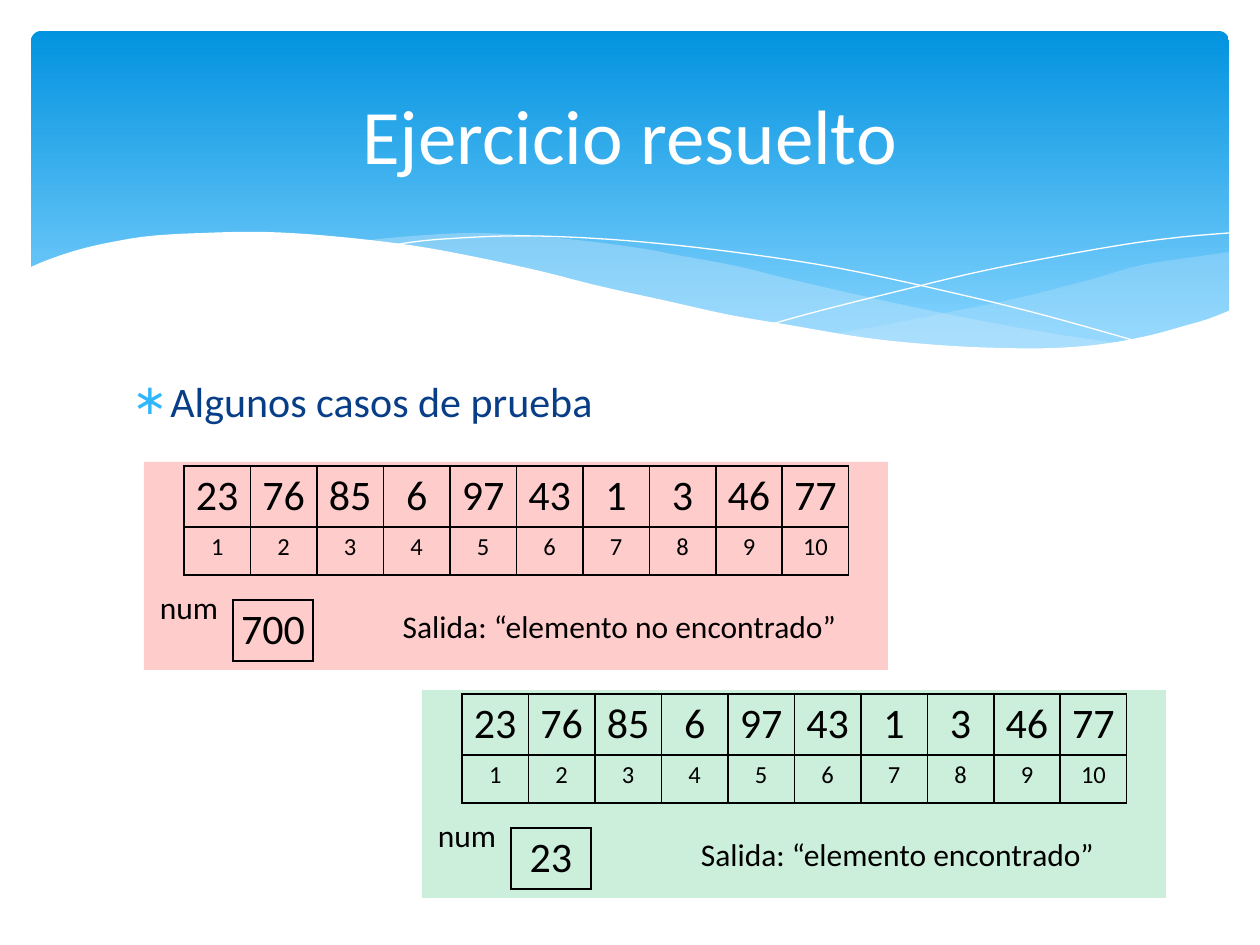
from lxml import etree
from pptx import Presentation, util as u
from pptx.dml.color import RGBColor
from pptx.enum import shapes, text
from pptx.oxml import ns

SCALE = u.Inches(1) / 126
FONT = "Calibri"
COLORS = {
    "sky": "0293E0", "light": "83D3FE", "mist": "C6E7FC", "white": "FFFFFF",
    "navy": "073E87", "bullet": "31B6FD", "black": "000000",
    "fail": "FF0000", "success": "00B050",
}
VALUES = [23, 76, 85, 6, 97, 43, 1, 3, 46, 77]

RIGHT_TOP = [(1229, 252), (1194, 257), (1142, 265), (1085, 281), (1014, 299),
             (949, 312), (890, 324), (833, 334)]
RIGHT_BOTTOM = [(833, 334), (888, 342), (939, 346), (998, 349), (1052, 349),
                (1099, 346), (1140, 339), (1178, 330), (1213, 318), (1229, 311)]
MIDDLE_TOP = [(1125, 344), (1055, 334), (977, 320), (890, 302), (793, 280),
              (736, 266), (682, 256), (632, 247), (557, 238), (479, 233),
              (413, 236), (360, 241)]
MIDDLE_BOTTOM = [(360, 241), (431, 251), (509, 266), (566, 280), (668, 302),
                 (757, 321), (839, 335), (911, 343), (974, 348), (1031, 350),
                 (1080, 349), (1125, 344)]
FALLING_LINE = [(389, 246), (413, 242), (444, 239), (505, 236), (567, 237),
                (643, 242), (733, 252), (838, 268), (958, 294), (1047, 316),
                (1143, 343)]
RISING_LINE = [(772, 324), (823, 310), (907, 289), (978, 272), (1053, 257),
               (1128, 244), (1182, 237), (1229, 233)]
WHITE_TOP = [(29, 268), (45, 261), (74, 251), (107, 243), (150, 236), (203, 233),
             (266, 232), (341, 237), (428, 248), (527, 268), (599, 286),
             (667, 301), (730, 315), (789, 325), (867, 338), (938, 345),
             (1000, 348), (1055, 348), (1103, 344), (1147, 336), (1184, 326),
             (1208, 319), (1231, 310)]


def px(*values):
    return [round(v * SCALE) for v in values]


def rgb(name):
    return RGBColor.from_string(COLORS[name])


def smooth(points, steps=5):
    ends = [points[0], *points, points[-1]]
    curve = []
    for a, b, c, d in zip(ends, ends[1:], ends[2:], ends[3:]):
        for i in range(steps):
            t = i / steps
            curve.append(tuple(
                (2 * q + (r - p) * t + (2 * p - 5 * q + 4 * r - s) * t ** 2
                 + (3 * q - p - 3 * r + s) * t ** 3) / 2
                for p, q, r, s in zip(a, b, c, d)))
    return curve + [points[-1]]


def paint(sp, color, opacity=100):
    sp.shadow.inherit = False
    sp.line.fill.background()
    sp.fill.solid()
    sp.fill.fore_color.rgb = rgb(color)
    if opacity < 100:
        clr = sp.fill._xPr.find(".//" + ns.qn("a:srgbClr"))
        etree.SubElement(clr, ns.qn("a:alpha"), val=str(opacity * 1000))


def add_outline(s, points, close):
    start, *rest = [px(*point) for point in points]
    builder = s.shapes.build_freeform(*start, scale=1.0)
    builder.add_line_segments(rest, close=close)
    return builder.convert_to_shape()


def add_wave(s, points, color, opacity=100):
    paint(add_outline(s, points, True), color, opacity)


def add_curve(s, points):
    sp = add_outline(s, smooth(points), False)
    sp.shadow.inherit = False
    sp.fill.background()
    sp.line.color.rgb = rgb("white")
    sp.line.width = 0


def add_banner(s):
    sp = s.shapes.add_shape(shapes.MSO_SHAPE.ROUNDED_RECTANGLE, *px(31, 31, 1198, 340))
    sp.adjustments[0] = 0.03
    sp.shadow.inherit = False
    sp.line.fill.background()
    sp.fill.gradient()
    sp.fill.gradient_angle = 270
    for stop, color, position in zip(sp.fill.gradient_stops, ("sky", "light"), (0, 0.9)):
        stop.color.rgb = rgb(color)
        stop.position = position
    add_wave(s, smooth(RIGHT_TOP) + smooth(RIGHT_BOTTOM), "mist", 29)
    add_wave(s, smooth(MIDDLE_TOP) + smooth(MIDDLE_BOTTOM), "mist", 40)
    add_curve(s, FALLING_LINE)
    add_curve(s, RISING_LINE)
    add_wave(s, smooth(WHITE_TOP) + [(1231, 414), (29, 414)], "white")


def write(tf, content, size, color="black", align=text.PP_ALIGN.CENTER):
    tf.text = content
    p = tf.paragraphs[0]
    p.alignment = align
    font = p.runs[0].font
    font.name, font.size, font.bold = FONT, u.Pt(size), False
    font.color.rgb = rgb(color)
    return p


def add_text(s, box, content, size, color="black", align=text.PP_ALIGN.CENTER,
             anchor=text.MSO_ANCHOR.MIDDLE):
    tf = s.shapes.add_textbox(*px(*box)).text_frame
    tf.word_wrap = True
    tf.vertical_anchor = anchor
    return write(tf, content, size, color, align)


def add_bullet(p):
    pPr = p._p.get_or_add_pPr()
    indent = px(38)[0]
    pPr.set("marL", str(indent))
    pPr.set("indent", str(-indent))
    clr = etree.SubElement(pPr, ns.qn("a:buClr"))
    etree.SubElement(clr, ns.qn("a:srgbClr"), val=COLORS["bullet"])
    etree.SubElement(pPr, ns.qn("a:buFont"), typeface=FONT)
    etree.SubElement(pPr, ns.qn("a:buChar"), char="∗")


def add_borders(cell):
    tcPr = cell._tc.get_or_add_tcPr()
    for side in ("lnL", "lnR", "lnT", "lnB"):
        ln = etree.SubElement(tcPr, ns.qn("a:" + side), w=str(u.Pt(1)))
        fill = etree.SubElement(ln, ns.qn("a:solidFill"))
        etree.SubElement(fill, ns.qn("a:srgbClr"), val=COLORS["black"])


def add_grid(s, left, top, col_width, rows):
    heights, sizes = (61, 48), (24, 14)
    count = len(rows[0])
    box = px(left, top, col_width * count, sum(heights[:len(rows)]))
    table = s.shapes.add_table(len(rows), count, *box).table
    table.first_row = table.horz_banding = False
    for col in table.columns:
        col.width = px(col_width)[0]
    for row, values, height, size in zip(table.rows, rows, heights, sizes):
        row.height = px(height)[0]
        for cell, value in zip(row.cells, values):
            cell.margin_left = cell.margin_right = u.Inches(0.04)
            cell.margin_top = cell.margin_bottom = u.Inches(0.04)
            add_borders(cell)
            cell.fill.background()
            write(cell.text_frame, str(value), size)


def add_case(s, left, top, color, num, result):
    sp = s.shapes.add_shape(shapes.MSO_SHAPE.RECTANGLE, *px(left, top, 744, 208))
    paint(sp, color, 20)
    add_grid(s, left + 40, top + 4, 66.5, [VALUES, range(1, len(VALUES) + 1)])
    add_grid(s, left + 89, top + 138, 80, [[num]])
    add_text(s, (left + 218, top + 129, 515, 70), f"Salida: “{result}”", 18)
    add_text(s, (left, top + 110, 90, 70), "num", 18)


def main():
    prs = Presentation()
    prs.slide_width, prs.slide_height = px(1260, 945)
    s = prs.slides.add_slide(prs.slide_layouts[6])
    add_banner(s)
    add_bullet(add_text(s, (120, 369, 1020, 475), "Algunos casos de prueba", 24,
                        "navy", text.PP_ALIGN.LEFT, text.MSO_ANCHOR.TOP))
    add_text(s, (63, 47, 1134, 173), "Ejercicio resuelto", 44, "white")
    add_case(s, 144, 462, "fail", 700, "elemento no encontrado")
    add_case(s, 422, 690, "success", 23, "elemento encontrado")
    prs.save("out.pptx")


if __name__ == "__main__":
    main()
